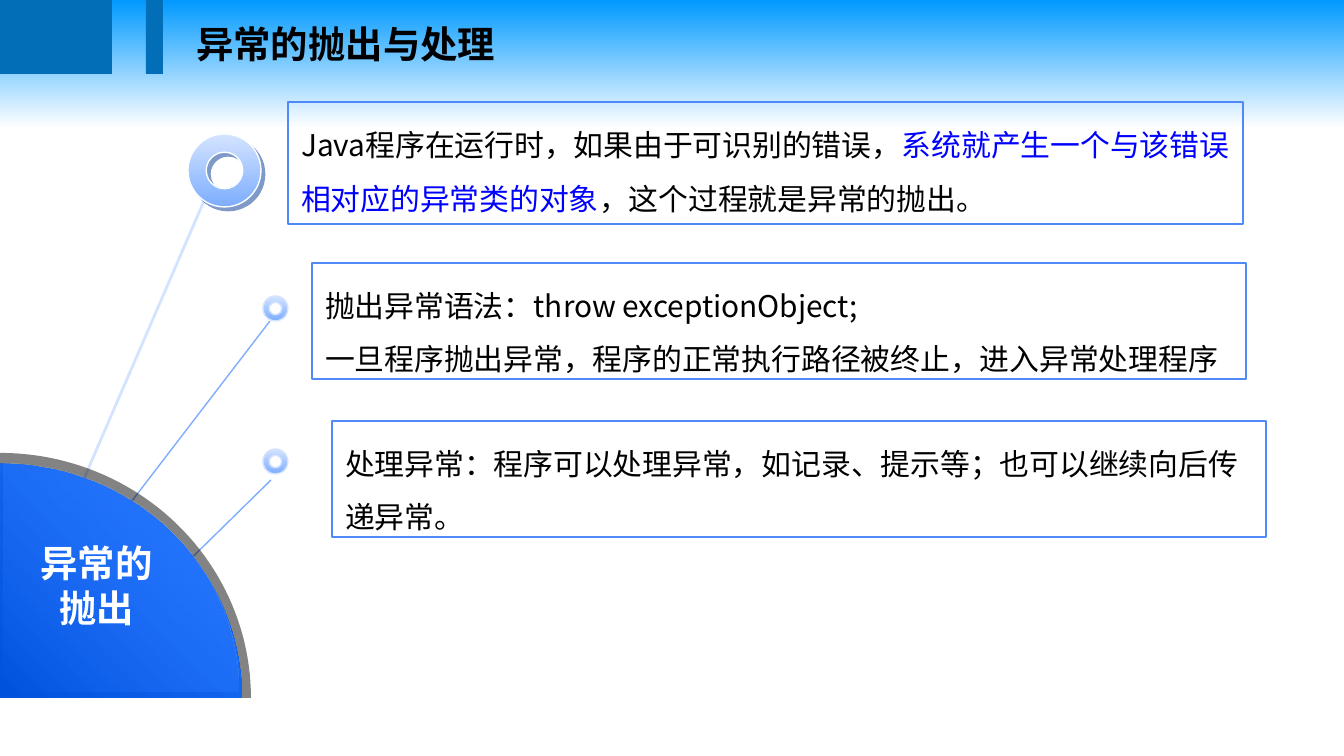
from dataclasses import dataclass
from math import cos, pi, sin

from lxml.etree import SubElement
from pptx import Presentation
from pptx.dml.color import RGBColor
from pptx.enum.shapes import MSO_CONNECTOR, MSO_SHAPE
from pptx.enum.text import MSO_ANCHOR, PP_ALIGN
from pptx.oxml.ns import qn
from pptx.util import Emu, Pt


@dataclass(frozen=True)
class Theme:
    font: str = "Noto Sans CJK SC"
    heading: int = 20
    body: int = 16
    sky: str = "0099FF"
    bar: str = "036EB8"
    black: str = "000000"
    white: str = "FFFFFF"
    accent: str = "0000FF"
    border: str = "5089F8"
    pale: str = "D4E4FF"
    soft: str = "7DADFF"
    rim: str = "080808"
    deep: str = "0051DC"
    bright: str = "2676FF"
    ring_edge: str = "FEFFFF"
    ring_shadow: str = "003692"


THEME = Theme()
TITLE = ("异常的抛出与处理", (183, 15, 582, 59), THEME.black, PP_ALIGN.LEFT)
HUB_LABEL = ("异常的抛出", (12, 534, 169, 103), THEME.white, PP_ALIGN.CENTER)
BARS = [(0, 0, 112, 74), (146, 0, 17, 74)]
SPOKES = [
    ((271, 480), (155, 594), THEME.soft, 0.75),
    ((270, 321), (0, 673), THEME.soft, 0.75),
    ((207, 194), (0, 673), THEME.pale, 1.5),
]
RINGS = [
    (188, 134, 73, THEME.ring_edge, True),
    (263, 449, 25, THEME.pale, False),
    (263, 296, 25, THEME.pale, False),
]
NOTES = [
    ((288, 102, 955, 122), [[
        ("Java程序在运行时，如果由于可识别的错误，", THEME.black),
        ("系统就产生一个与该错误相对应的异常类的对象", THEME.accent),
        ("，这个过程就是异常的抛出。", THEME.black),
    ]]),
    ((312, 263, 934, 116), [
        [("抛出异常语法：throw exceptionObject;", THEME.black)],
        [("一旦程序抛出异常，程序的正常执行路径被终止，进入异常处理程序", THEME.black)],
    ]),
    ((332, 421, 934, 116), [
        [("处理异常：程序可以处理异常，如记录、提示等；也可以继续向后传递异常。", THEME.black)],
    ]),
]


def px(value):
    return Emu(round(value * 914400 / 134.4))


def rgb(code):
    return RGBColor.from_string(code)


def set_solid(fill, color):
    fill.solid()
    fill.fore_color.rgb = rgb(color)


def set_gradient(fill, colors, angle, end=1):
    fill.gradient()
    fill.gradient_angle = angle
    for stop, color, position in zip(fill.gradient_stops, colors, (0, end)):
        stop.color.rgb = rgb(color)
        stop.position = position


def set_alpha(color_element, percent):
    SubElement(color_element, qn("a:alpha"), val=str(percent * 1000))


def set_font(para, size, bold=False):
    para.font.size = Pt(size)
    para.font.bold = bold
    para.font.name = THEME.font
    latin = para.font._element.find(qn("a:latin"))
    latin.addnext(latin.makeelement(qn("a:ea"), {"typeface": THEME.font}))


def add_preset(page, kind, frame):
    shape = page.shapes.add_shape(kind, *map(px, frame))
    shape.shadow.inherit = False
    return shape


def add_heading(page, text, frame, color, align):
    box = page.shapes.add_textbox(*map(px, frame))
    box.text_frame.word_wrap = True
    para = box.text_frame.paragraphs[0]
    para.text = text
    para.alignment = align
    set_font(para, THEME.heading, True)
    para.font.color.rgb = rgb(color)


def add_spoke(page, start, end, color, width):
    line = page.shapes.add_connector(MSO_CONNECTOR.STRAIGHT, *map(px, start + end))
    line.line.color.rgb = rgb(color)
    line.line.width = Pt(width)
    SubElement(line._element.spPr, qn("a:effectLst"))


def add_quarter(page, left, top, right, bottom, steps=48):
    angles = [pi / 2 * step / steps for step in range(steps + 1)]
    arc = [(px(left + (right - left) * sin(a)), px(bottom - (bottom - top) * cos(a)))
           for a in angles]
    builder = page.shapes.build_freeform(*arc[0], scale=1.0)
    builder.add_line_segments(arc[1:] + [(px(left), px(bottom))], close=True)
    shape = builder.convert_to_shape()
    shape.shadow.inherit = False
    shape.line.fill.background()
    return shape


def add_hub(page):
    rim = add_quarter(page, 0, 453, 251, 698)
    set_solid(rim.fill, THEME.rim)
    set_alpha(rim._element.spPr.find(".//" + qn("a:srgbClr")), 50)
    face = add_quarter(page, 0, 464, 242, 698)
    set_gradient(face.fill, (THEME.deep, THEME.bright), 45)
    gloss = add_quarter(page, 3, 464, 238, 692)
    set_gradient(gloss.fill, (THEME.bright, THEME.bright), 45)
    set_alpha(gloss._element.spPr.find(".//" + qn("a:srgbClr")), 0)


def add_ring(page, left, top, size, edge, shaded):
    ring = add_preset(page, MSO_SHAPE.DONUT, (left, top, size, size))
    ring.adjustments[0] = 0.25
    set_gradient(ring.fill, (THEME.pale, THEME.soft), 270)
    ring.line.color.rgb = rgb(edge)
    ring.line.width = Pt(0.75)
    if shaded:
        effects = ring._element.spPr.find(qn("a:effectLst"))
        shadow = SubElement(effects, qn("a:outerShdw"), blurRad="0",
                            dist=str(Pt(2.8)), dir="2700000", algn="ctr", rotWithShape="0")
        set_alpha(SubElement(shadow, qn("a:srgbClr"), val=THEME.ring_shadow), 50)


def add_note(page, frame, paragraphs):
    box = add_preset(page, MSO_SHAPE.RECTANGLE, frame)
    box.fill.background()
    box.line.color.rgb = rgb(THEME.border)
    box.line.width = Pt(0.75)
    text = box.text_frame
    text.word_wrap = True
    text.vertical_anchor = MSO_ANCHOR.TOP
    for index, spans in enumerate(paragraphs):
        para = text.add_paragraph() if index else text.paragraphs[0]
        para.alignment = PP_ALIGN.LEFT
        para.line_spacing = 1.5
        set_font(para, THEME.body)
        for words, color in spans:
            span = para.add_run()
            span.text = words
            span.font.color.rgb = rgb(color)


def main():
    deck = Presentation()
    deck.slide_width, deck.slide_height = px(1344), px(756)
    page = deck.slides.add_slide(deck.slide_layouts[6])
    set_gradient(page.background.fill, (THEME.sky, THEME.white), 270, 0.17)
    for frame in BARS:
        bar = add_preset(page, MSO_SHAPE.RECTANGLE, frame)
        set_solid(bar.fill, THEME.bar)
        bar.line.fill.background()
    add_heading(page, *TITLE)
    for spoke in SPOKES:
        add_spoke(page, *spoke)
    add_hub(page)
    add_heading(page, *HUB_LABEL)
    for ring in RINGS:
        add_ring(page, *ring)
    for note in NOTES:
        add_note(page, *note)
    deck.save("out.pptx")


if __name__ == "__main__":
    main()
